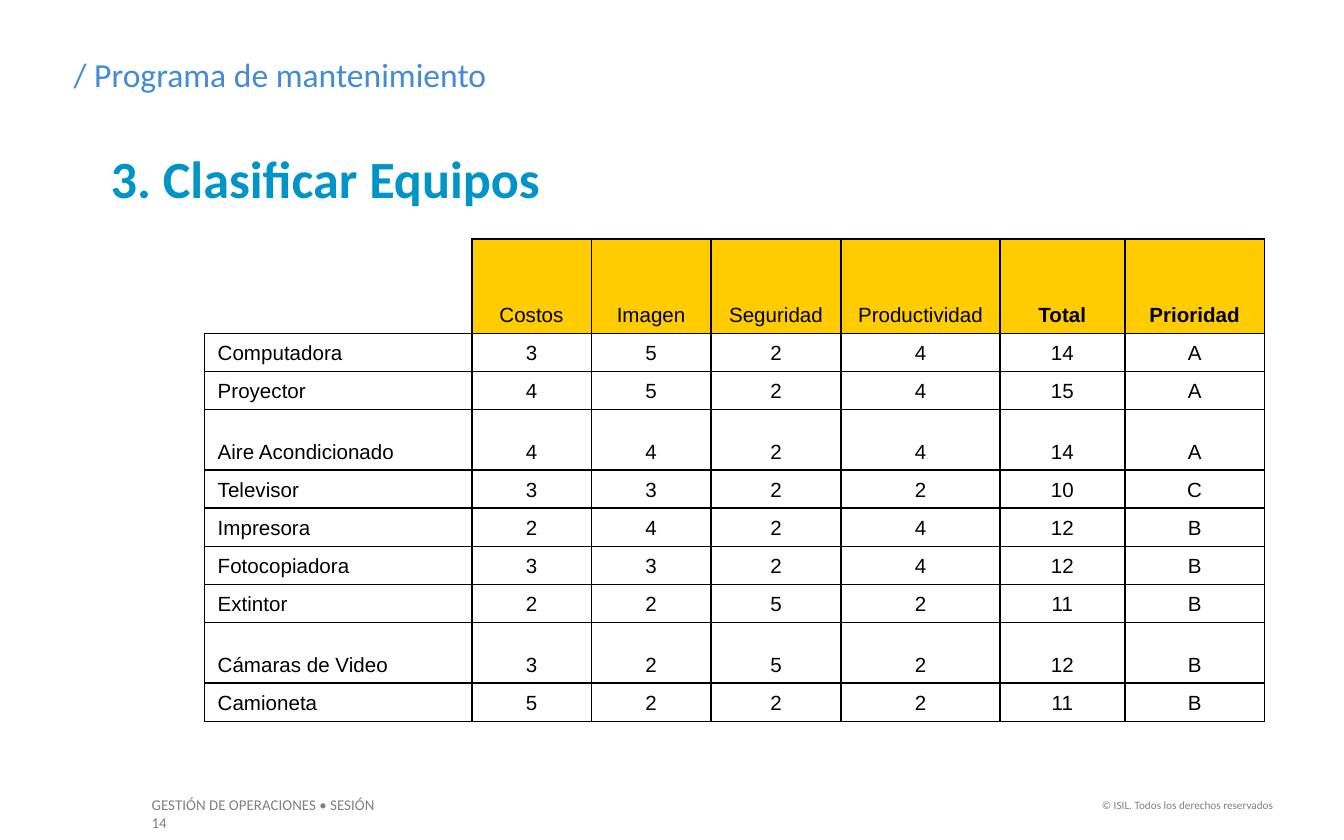
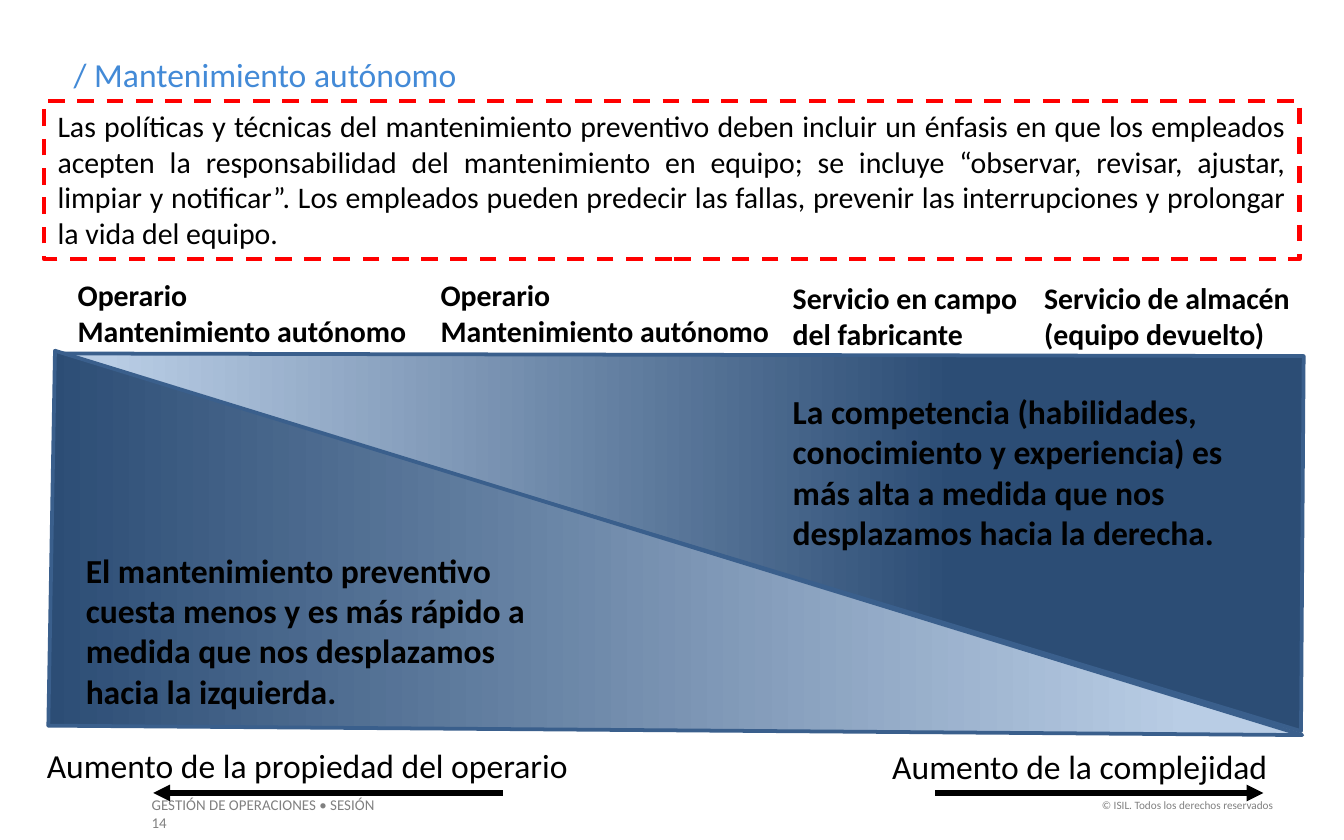
import pptx
import pptx.util
import pptx.dml.color
import pptx.enum.dml
import pptx.enum.shapes
import pptx.enum.text
import pptx.oxml
import pptx.oxml.ns
from lxml import etree

PX = 9144  # one px is 1/100 inch
RGB = pptx.dml.color.RGBColor.from_string
Pt = pptx.util.Pt
AL = pptx.enum.text.PP_ALIGN
qn = pptx.oxml.ns.qn

# Theme: colours and text styles
THEME = {
    "black": "000000", "header": "FFCC00", "frame": "FF0000",
    "light": "B9CDE5", "dark": "2C4D75", "edge": "3A5F8C",
    "title": {"name": "Calibri", "size": Pt(18), "color": "438AD7"},
    "heading": {"name": "Calibri", "size": Pt(28), "bold": True, "color": "0094C8"},
    "footer": {"name": "Calibri", "size": Pt(8), "color": "808080"},
    "rights": {"name": "Calibri", "size": Pt(6), "color": "808080"},
    "body": {"name": "Calibri", "size": Pt(16), "color": "000000"},
    "label": {"name": "Calibri", "size": Pt(16), "bold": True, "color": "000000"},
    "axis": {"name": "Calibri", "size": Pt(18), "color": "000000"},
    "note": {"name": "Calibri", "size": Pt(18), "bold": True, "color": "000000"},
    "cell": {"name": "Arial", "size": Pt(11), "bold": False, "color": "000000"},
    "strong": {"name": "Arial", "size": Pt(11), "bold": True, "color": "000000"},
}


def write(tf, text, style, align=AL.LEFT):
    """Fill a text frame, one paragraph per line of text."""
    tf.word_wrap = True
    for i, line in enumerate(text.split("\n")):
        p = tf.add_paragraph() if i else tf.paragraphs[0]
        p.alignment = align
        r = p.add_run()
        r.text = line
        for key, value in THEME[style].items():
            if key == "color":
                r.font.color.rgb = RGB(value)
            else:
                setattr(r.font, key, value)


def add_text(s, box, text, style, align=AL.LEFT):
    sp = s.shapes.add_textbox(*[v * PX for v in box])
    write(sp.text_frame, text, style, align)
    sp.text_frame.auto_size = pptx.enum.text.MSO_AUTO_SIZE.SHAPE_TO_FIT_TEXT


prs = pptx.Presentation()
prs.slide_width, prs.slide_height = 1000 * PX, 625 * PX

# Shared footer and title
slides = []
for title in ("/ Programa de mantenimiento", "/ Mantenimiento autónomo"):
    s = prs.slides.add_slide(prs.slide_layouts[6])
    add_text(s, (103, 587, 198, 24), "GESTIÓN DE OPERACIONES • SESIÓN 14", "footer")
    add_text(s, (803, 589, 154, 20), "© ISIL. Todos los derechos reservados", "rights", AL.RIGHT)
    add_text(s, (45, 35, 788, 40), title, "title")
    slides.append(s)

# Slide 1: equipment classification
s = slides[0]
add_text(s, (45, 104, 394, 57), "3. Clasificar Equipos", "heading", AL.CENTER)

rows = [
    ("", "Costos", "Imagen", "Seguridad", "Productividad", "Total", "Prioridad"),
    ("Computadora", 3, 5, 2, 4, 14, "A"),
    ("Proyector", 4, 5, 2, 4, 15, "A"),
    ("Aire Acondicionado", 4, 4, 2, 4, 14, "A"),
    ("Televisor", 3, 3, 2, 2, 10, "C"),
    ("Impresora", 2, 4, 2, 4, 12, "B"),
    ("Fotocopiadora", 3, 3, 2, 4, 12, "B"),
    ("Extintor", 2, 2, 5, 2, 11, "B"),
    ("Cámaras de Video", 3, 2, 5, 2, 12, "B"),
    ("Camioneta", 5, 2, 2, 2, 11, "B"),
]
widths = (199, 89, 89, 97, 118, 93, 104)
heights = (70, 28, 28, 45, 28, 28, 28, 28, 45, 28)
tbl = s.shapes.add_table(len(rows), len(widths), 152 * PX, 178 * PX,
                         sum(widths) * PX, sum(heights) * PX).table
tbl.first_row = tbl.horz_banding = False
for col, width in zip(tbl.columns, widths):
    col.width = width * PX
for row, height in zip(tbl.rows, heights):
    row.height = height * PX

for i, values in enumerate(rows):
    for j, value in enumerate(values):
        cell = tbl.cell(i, j)
        cell.vertical_anchor = pptx.enum.text.MSO_ANCHOR.BOTTOM
        if i == 0 and j > 0:
            cell.fill.solid()
            cell.fill.fore_color.rgb = RGB(THEME["header"])
        else:
            cell.fill.background()
        if value != "":
            write(cell.text_frame, str(value), "strong" if i == 0 and j > 4 else "cell",
                  AL.CENTER if j else AL.LEFT)
        # Borders all round, except the outer sides of the empty corner
        tcPr = cell._tc.get_or_add_tcPr()
        for n, side in enumerate(("lnL", "lnR", "lnT", "lnB")):
            ln = etree.Element(qn("a:" + side), w=str(Pt(1)))
            tcPr.insert(n, ln)
            if i == j == 0 and side in ("lnL", "lnT"):
                etree.SubElement(ln, qn("a:noFill"))
            else:
                fill = etree.SubElement(ln, qn("a:solidFill"))
                etree.SubElement(fill, qn("a:srgbClr"), val=THEME["black"])

# Slide 2: framed statement
s = slides[1]
sp = s.shapes.add_shape(pptx.enum.shapes.MSO_SHAPE.RECTANGLE, 33 * PX, 75 * PX, 934 * PX, 118 * PX)
sp.shadow.inherit = False
sp.fill.background()
sp.line.color.rgb = RGB(THEME["frame"])
sp.line.width = Pt(2.25)
sp.line.dash_style = pptx.enum.dml.MSO_LINE.DASH
sp.text_frame.vertical_anchor = pptx.enum.text.MSO_ANCHOR.TOP
write(sp.text_frame,
      "Las políticas y técnicas del mantenimiento preventivo deben incluir un énfasis en que "
      "los empleados acepten la responsabilidad del mantenimiento en equipo; se incluye "
      "“observar, revisar, ajustar, limpiar y notificar”. Los empleados pueden predecir las "
      "fallas, prevenir las interrupciones y prolongar la vida del equipo.",
      "body", AL.JUSTIFY)

# Direction captions with arrows
for box, text, x1, x2 in (
    ((25, 549, 438, 40), "Aumento de la propiedad del operario", 374, 114),
    ((654, 550, 312, 40), "Aumento de la complejidad", 696, 940),
):
    add_text(s, box, text, "axis")
    cx = s.shapes.add_connector(pptx.enum.shapes.MSO_CONNECTOR.STRAIGHT,
                                x1 * PX, 590 * PX, x2 * PX, 590 * PX)
    cx.line.color.rgb = RGB(THEME["black"])
    cx.line.width = Pt(3)
    etree.SubElement(cx.line._get_or_add_ln(), qn("a:tailEnd"), type="triangle")
    etree.SubElement(cx._element.spPr, qn("a:effectLst"))

# Labels above the band
for box, text in (
    ((48, 201, 294, 64), "Operario\nMantenimiento autónomo"),
    ((318, 201, 294, 64), "Operario\nMantenimiento autónomo"),
    ((580, 203, 195, 64), "Servicio en campo\ndel fabricante"),
    ((767, 203, 218, 64), "Servicio de almacén (equipo devuelto)"),
):
    add_text(s, box, text, "label")

# Two opposed gradient triangles
for points, stops in (
    (((41, 263), (970, 265), (968, 544)), ((0.04, "light"), (0.72, "dark"))),
    (((969, 547), (36, 540), (41, 261)), ((0, "dark"), (0.91, "light"))),
):
    fb = s.shapes.build_freeform(*points[0], scale=PX)
    fb.add_line_segments(points[1:], close=True)
    sp = fb.convert_to_shape()
    sp.shadow.inherit = False
    sp.fill.gradient()
    sp.fill.gradient_angle = 0
    for stop, (position, color) in zip(sp.fill.gradient_stops, stops):
        stop.position = position
        stop.color.rgb = RGB(THEME[color])
    sp.line.color.rgb = RGB(THEME["edge"])
    sp.line.width = Pt(2)

# Notes on the triangles
add_text(s, (54, 404, 380, 131),
         "El mantenimiento preventivo cuesta menos y es más rápido a medida que nos "
         "desplazamos hacia la izquierda.", "note")
add_text(s, (580, 286, 380, 131),
         "La competencia (habilidades, conocimiento y experiencia) es más alta a medida que "
         "nos desplazamos hacia la derecha.", "note")

prs.save("out.pptx")
